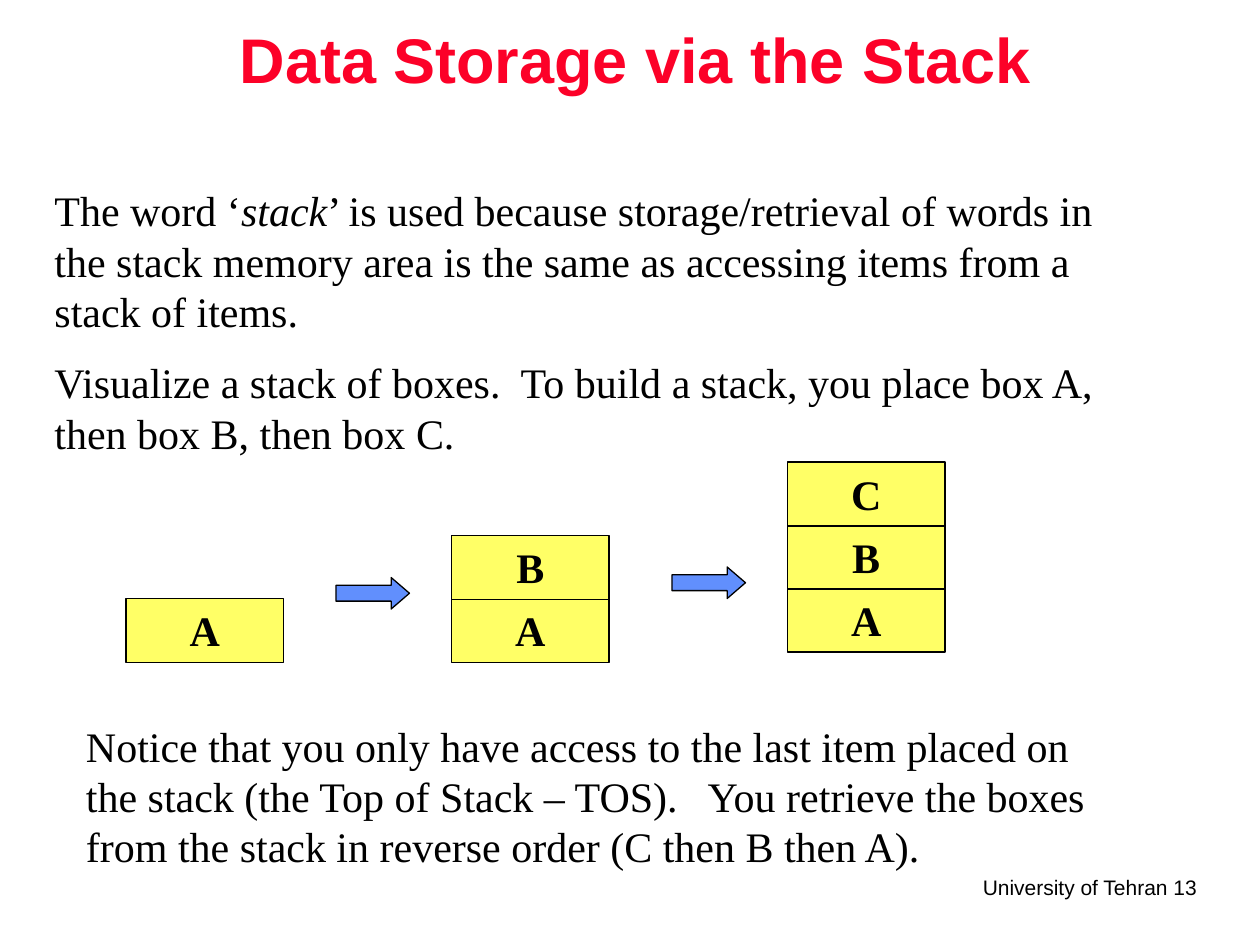
from pptx import Presentation
from pptx.dml.color import RGBColor
from pptx.enum.shapes import MSO_SHAPE
from pptx.enum.text import MSO_ANCHOR, PP_ALIGN
from pptx.util import Inches, Pt

RECTANGLE, RIGHT_ARROW = MSO_SHAPE.RECTANGLE, MSO_SHAPE.RIGHT_ARROW
LEFT, CENTER, RIGHT = PP_ALIGN.LEFT, PP_ALIGN.CENTER, PP_ALIGN.RIGHT
TOP, MIDDLE = MSO_ANCHOR.TOP, MSO_ANCHOR.MIDDLE

BLACK = RGBColor(0x00, 0x00, 0x00)
RED = RGBColor(0xFC, 0x01, 0x28)
YELLOW = RGBColor(0xFF, 0xFF, 0x66)
BLUE = RGBColor(0x61, 0x8F, 0xFD)

SLIDE_WIDTH, SLIDE_HEIGHT = Inches(10), Inches(7.5)
COLUMN, ROW = SLIDE_WIDTH // 120, SLIDE_HEIGHT // 90
BOX_WIDTH, BOX_HEIGHT, BOX_STEP = 15, 6.1, 6
ARROW_LEAD, ARROW_RISE, ARROW_SIZE = 11, 2, (7, 3)

TITLE_FONT = {"name": "Arial", "size": Pt(36), "bold": True}
BODY_FONT = {"name": "Times New Roman", "size": Pt(24)}
BOX_FONT = {**BODY_FONT, "bold": True}
FOOTER_FONT = {"name": "Arial", "size": Pt(12)}

INTRODUCTION = [
    [("The word ‘", False), ("stack", True),
     ("’ is used because storage/retrieval of words in the stack memory area "
      "is the same as accessing items from a stack of items.", False)],
    [("Visualize a stack of boxes.  To build a stack, you place box A, "
      "then box B, then box C.", False)],
]
NOTICE = [
    [("Notice that you only have access to the last item placed on the stack "
      "(the Top of Stack – TOS).   You retrieve the boxes from the stack in "
      "reverse order (C then B then A).", False)],
]
STACKS = [(12, 57, "A"), (43, 57, "AB"), (75, 56, "ABC")]


def place(box):
    """Turn a box in grid columns and rows into slide lengths."""
    left, top, width, height = box
    return (round(left * COLUMN), round(top * ROW),
            round(width * COLUMN), round(height * ROW))


def write(frame, paragraphs, font, color=BLACK, align=LEFT, anchor=TOP, line_spacing=1.0):
    """Fill a text frame with paragraphs of (text, italic) runs."""
    frame.word_wrap = True
    frame.vertical_anchor = anchor
    for index, pieces in enumerate(paragraphs):
        paragraph = frame.add_paragraph() if index else frame.paragraphs[0]
        paragraph.alignment = align
        paragraph.line_spacing = line_spacing
        if index:
            paragraph.space_before = font["size"] // 2
        for text, italic in pieces:
            run = paragraph.add_run()
            run.text = text
            run.font.italic = italic
            run.font.color.rgb = color
            for attribute, value in font.items():
                setattr(run.font, attribute, value)


def add_text(slide, box, paragraphs, font, **layout):
    """Place a block of text in the given box."""
    frame = slide.shapes.add_textbox(*place(box)).text_frame
    write(frame, paragraphs, font, **layout)


def add_outlined(slide, kind, box, fill):
    """Place a filled shape with a thin black outline."""
    shape = slide.shapes.add_shape(kind, *place(box))
    shape.shadow.inherit = False
    shape.fill.solid()
    shape.fill.fore_color.rgb = fill
    shape.line.color.rgb = BLACK
    shape.line.width = Pt(0.75)
    return shape


def add_stack(slide, left, base, letters):
    """Pile lettered boxes upwards from the base row."""
    for level, letter in enumerate(letters):
        box = (left, base - level * BOX_STEP, BOX_WIDTH, BOX_HEIGHT)
        item = add_outlined(slide, RECTANGLE, box, YELLOW)
        write(item.text_frame, [[(letter, False)]], BOX_FONT, align=CENTER)


def add_step_arrow(slide, left, base):
    """Point an arrow at the stack that starts at the given column."""
    box = (left - ARROW_LEAD, base - ARROW_RISE, *ARROW_SIZE)
    arrow = add_outlined(slide, RIGHT_ARROW, box, BLUE)
    arrow.adjustments[1] = 0.58


def main():
    """Build and save the slide."""
    deck = Presentation()
    deck.slide_width, deck.slide_height = SLIDE_WIDTH, SLIDE_HEIGHT
    slide = deck.slides.add_slide(deck.slide_layouts[6])
    add_text(slide, (91.9, 82.7, 23.3, 3.6), [[("University of Tehran 13", False)]],
             FOOTER_FONT, align=RIGHT)
    add_text(slide, (9, 2, 103, 8), [[("Data Storage via the Stack", False)]],
             TITLE_FONT, color=RED, align=CENTER, anchor=MIDDLE, line_spacing=0.9)
    add_text(slide, (4, 17, 105, 27.6), INTRODUCTION, BODY_FONT)
    for index, (left, base, letters) in enumerate(STACKS):
        add_stack(slide, left, base, letters)
        if index:
            add_step_arrow(slide, left, base)
    add_text(slide, (7, 68, 100, 15.6), NOTICE, BODY_FONT)
    deck.save("out.pptx")


if __name__ == "__main__":
    main()
